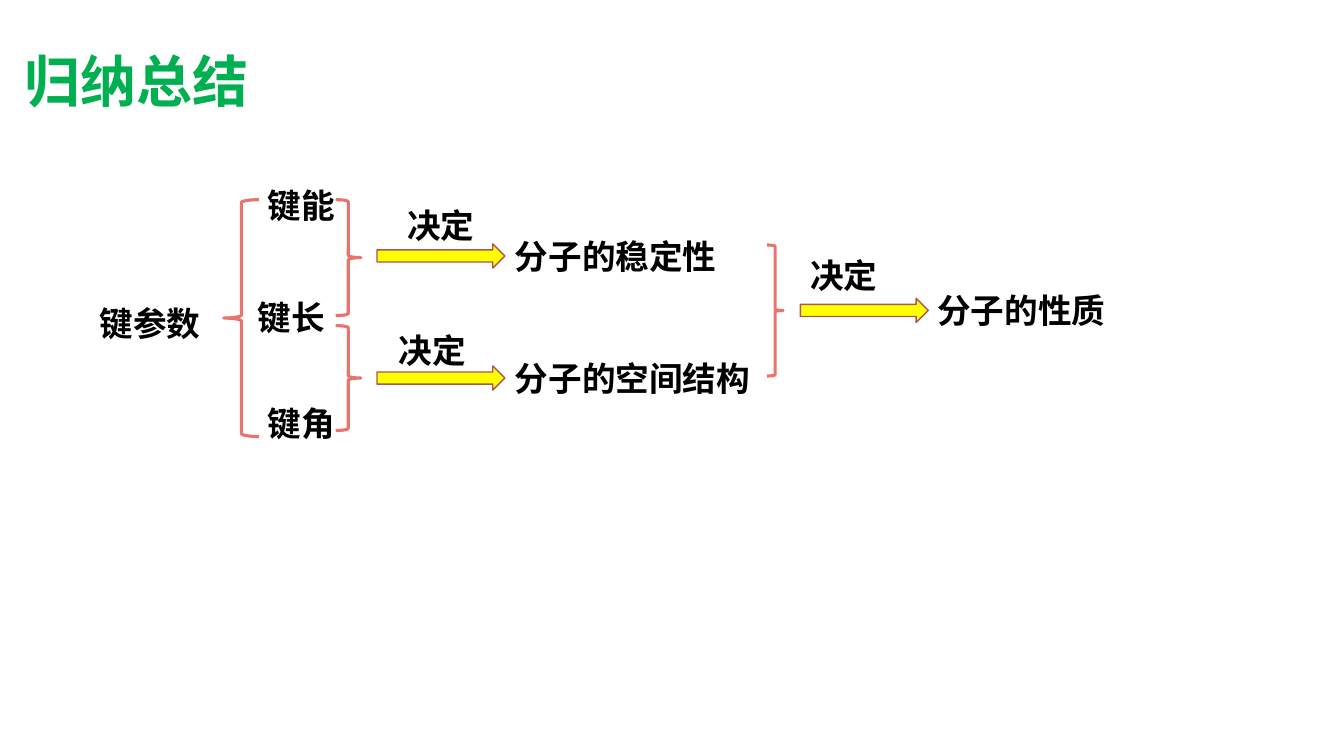
from pptx import Presentation
from pptx.dml.color import RGBColor
from pptx.enum.shapes import MSO_SHAPE
from pptx.enum.text import MSO_AUTO_SIZE, PP_ALIGN
from pptx.util import Pt

LEFT_BRACE = MSO_SHAPE.LEFT_BRACE
RIGHT_BRACE = MSO_SHAPE.RIGHT_BRACE
RIGHT_ARROW = MSO_SHAPE.RIGHT_ARROW
GROW = MSO_AUTO_SIZE.SHAPE_TO_FIT_TEXT
LEFT, CENTER = PP_ALIGN.LEFT, PP_ALIGN.CENTER

GREEN = RGBColor(0x00, 0xB0, 0x50)
BLACK = RGBColor(0x00, 0x00, 0x00)
CORAL = RGBColor(0xE9, 0x74, 0x6E)
YELLOW = RGBColor(0xFF, 0xFF, 0x00)
BROWN = RGBColor(0xAC, 0x56, 0x51)

# Lengths in points
FONT = "Calibri"
SIDE_INSET = 7.2
TITLE_SIZE, TITLE_HEIGHT = 40, 55.4
LABEL_SIZE, LABEL_HEIGHT = 24, 36
ARROW_WIDTH, ARROW_HEIGHT = 91.4, 17.3

TITLE = ("归纳总结", 10.1, 29.5)
LABELS = [  # text, left, top
    ("键参数", 64.1, 213.1),
    ("键能", 184.3, 128.9),
    ("键长", 177.1, 208.8),
    ("键角", 184.3, 284.4),
    ("决定", 283.7, 142.6),
    ("决定", 277.9, 231.8),
    ("决定", 571.7, 178.6),
    ("分子的稳定性", 360.7, 164.9),
    ("分子的空间结构", 360.7, 252),
    ("分子的性质", 662.4, 203.8),
]
BRACES = [  # shape, left, top, width, height
    (LEFT_BRACE, 159.8, 142.6, 25.2, 169.2),
    (RIGHT_BRACE, 239.8, 142.6, 18, 82.8),
    (RIGHT_BRACE, 239.8, 232.6, 18, 74.9),
    (RIGHT_BRACE, 547.9, 175, 11.5, 93.6),
]
ARROWS = [(269.3, 174.2), (269.3, 261.4), (571.7, 213.1)]  # left, top


def add_label(page, text, left, top, size, height, color, align):
    """Add one bold line in a box as wide as its square characters."""
    width = len(text) * size + 2 * SIDE_INSET
    box = page.shapes.add_textbox(Pt(left), Pt(top), Pt(width), Pt(height))
    frame = box.text_frame
    frame.word_wrap = False
    frame.auto_size = GROW
    para = frame.paragraphs[0]
    para.alignment = align
    span = para.add_run()
    span.text = text
    for name, value in {"name": FONT, "size": Pt(size), "bold": True}.items():
        setattr(span.font, name, value)
    span.font.color.rgb = color


def add_outline(page, kind, bounds, line_color, line_width, fill=None):
    shape = page.shapes.add_shape(kind, *map(Pt, bounds))
    shape.shadow.inherit = False
    shape.line.color.rgb = line_color
    shape.line.width = Pt(line_width)
    if fill is None:
        shape.fill.background()
    else:
        shape.fill.solid()
        shape.fill.fore_color.rgb = fill


def main():
    deck = Presentation()
    deck.slide_width, deck.slide_height = Pt(960), Pt(540)
    page = deck.slides.add_slide(deck.slide_layouts[6])

    add_label(page, *TITLE, TITLE_SIZE, TITLE_HEIGHT, GREEN, CENTER)
    for kind, *bounds in BRACES:
        add_outline(page, kind, bounds, CORAL, 2.25)
    for left, top in ARROWS:
        bounds = (left, top, ARROW_WIDTH, ARROW_HEIGHT)
        add_outline(page, RIGHT_ARROW, bounds, BROWN, 1, YELLOW)
    for label in LABELS:
        add_label(page, *label, LABEL_SIZE, LABEL_HEIGHT, BLACK, LEFT)

    deck.save("out.pptx")


if __name__ == "__main__":
    main()
